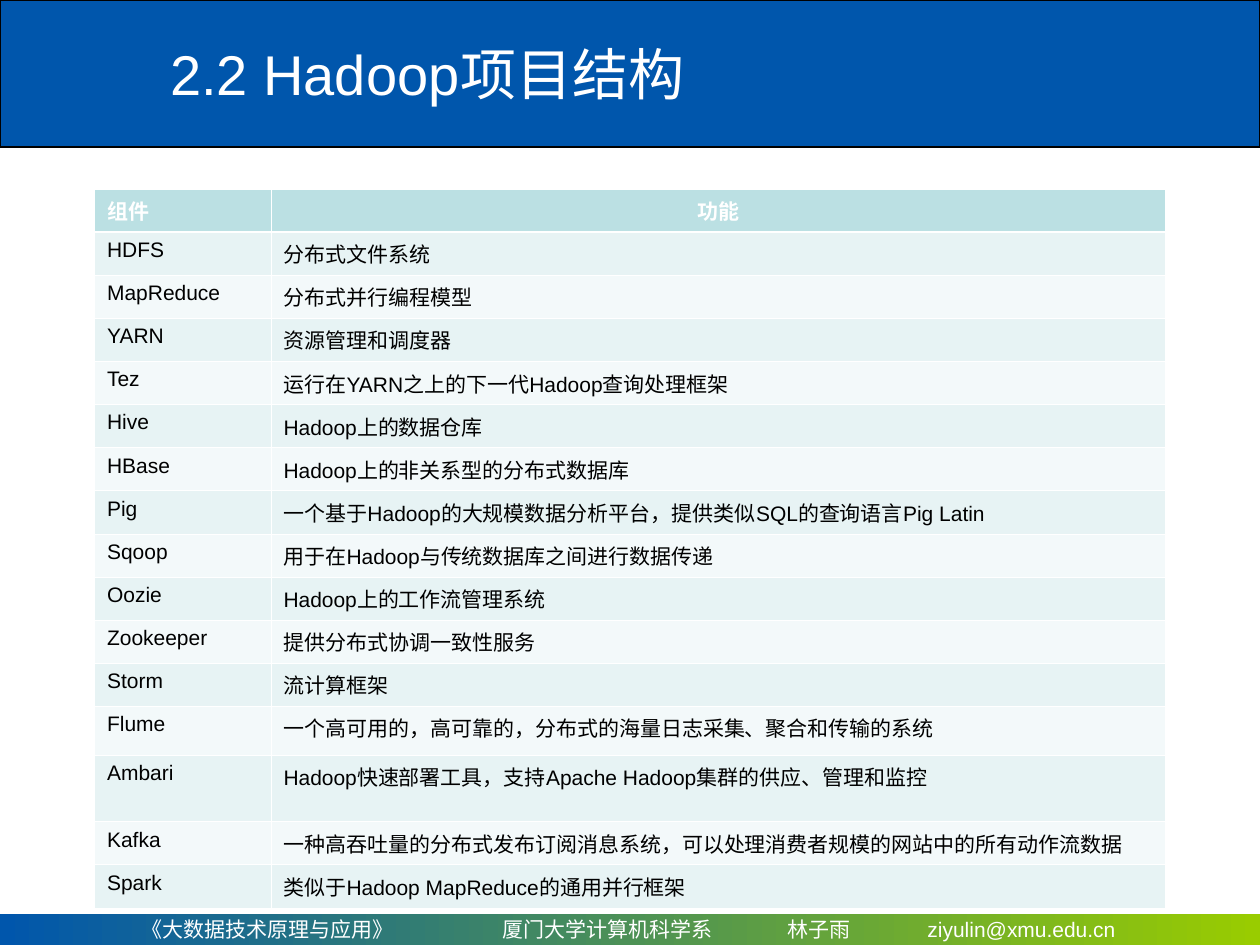
from dataclasses import dataclass

from lxml import etree
from pptx import Presentation
from pptx.dml.color import RGBColor as RGB
from pptx.enum.shapes import MSO_SHAPE as SHAPE
from pptx.enum.text import MSO_ANCHOR as ANCHOR, MSO_AUTO_SIZE as AUTO_SIZE, PP_ALIGN as ALIGN
from pptx.oxml.ns import qn
from pptx.util import Pt


@dataclass(frozen=True)
class Theme:
    font: str = "Arial"
    blue: RGB = RGB(0x00, 0x56, 0xAC)
    green: RGB = RGB(0x99, 0xCC, 0x00)
    white: RGB = RGB(0xFF, 0xFF, 0xFF)
    black: RGB = RGB(0x00, 0x00, 0x00)
    header_fill: RGB = RGB(0xBB, 0xE0, 0xE3)
    odd_fill: RGB = RGB(0xE7, 0xF3, 0xF4)
    even_fill: RGB = RGB(0xF3, 0xF9, 0xFA)
    title_size: int = 32
    body_size: int = 12


THEME = Theme()
ROWS = [
    ("组件", "功能"),
    ("HDFS", "分布式文件系统"),
    ("MapReduce", "分布式并行编程模型"),
    ("YARN", "资源管理和调度器"),
    ("Tez", "运行在YARN之上的下一代Hadoop查询处理框架"),
    ("Hive", "Hadoop上的数据仓库"),
    ("HBase", "Hadoop上的非关系型的分布式数据库"),
    ("Pig", "一个基于Hadoop的大规模数据分析平台，提供类似SQL的查询语言Pig Latin"),
    ("Sqoop", "用于在Hadoop与传统数据库之间进行数据传递"),
    ("Oozie", "Hadoop上的工作流管理系统"),
    ("Zookeeper", "提供分布式协调一致性服务"),
    ("Storm", "流计算框架"),
    ("Flume", "一个高可用的，高可靠的，分布式的海量日志采集、聚合和传输的系统"),
    ("Ambari", "Hadoop快速部署工具，支持Apache Hadoop集群的供应、管理和监控"),
    ("Kafka", "一种高吞吐量的分布式发布订阅消息系统，可以处理消费者规模的网站中的所有动作流数据"),
    ("Spark", "类似于Hadoop MapReduce的通用并行框架"),
]
ROW_HEIGHT = 21.6
TALL_ROWS = {"Flume": 28, "Ambari": 38}
FOOTER = ["《大数据技术原理与应用》", "厦门大学计算机科学系", "林子雨", "ziyulin@xmu.edu.cn"]
FOOTER_STOPS = [81, 287, 450, 530]


def style(paragraph, size, color, align=ALIGN.LEFT, bold=False):
    paragraph.alignment = align
    font = paragraph.font
    font.name, font.size, font.bold = THEME.font, Pt(size), bold
    font.color.rgb = color


def add_borders(cell, widths):
    """Draw white cell borders; widths are left, right, top, bottom."""
    properties = cell._tc.get_or_add_tcPr()
    for index, (side, width) in enumerate(zip("LRTB", widths)):
        line = etree.Element(qn(f"a:ln{side}"), w=str(Pt(width)))
        fill = etree.SubElement(line, qn("a:solidFill"))
        etree.SubElement(fill, qn("a:srgbClr"), val=str(THEME.white))
        properties.insert(index, line)


deck = Presentation()
deck.slide_width, deck.slide_height = Pt(720), Pt(540)
slide = deck.slides.add_slide(deck.slide_layouts[5])
shapes = slide.shapes

# Title band
band = shapes.add_shape(SHAPE.RECTANGLE, 0, 0, Pt(720), Pt(84))
band.shadow.inherit = False
band.fill.solid()
band.fill.fore_color.rgb = THEME.blue
band.line.color.rgb = THEME.black
band.line.width = Pt(0.75)

# Footer bar, with its entries on tab stops
footer = shapes.add_shape(SHAPE.RECTANGLE, 0, Pt(522), Pt(720), Pt(18))
footer.shadow.inherit = False
footer.line.fill.background()
footer.fill.gradient()
footer.fill.gradient_angle = 0
for stop, color, position in zip(footer.fill.gradient_stops, (THEME.blue, THEME.green), (0, 1)):
    stop.color.rgb, stop.position = color, position

footer_frame = footer.text_frame
footer_frame.word_wrap = True
footer_frame.vertical_anchor = ANCHOR.MIDDLE
footer_frame.margin_left = Pt(FOOTER_STOPS[0])
credits = footer_frame.paragraphs[0]
credits.text = "\t".join(FOOTER)
tab_list = etree.SubElement(credits._p.get_or_add_pPr(), qn("a:tabLst"))
for stop in FOOTER_STOPS[1:]:
    etree.SubElement(tab_list, qn("a:tab"), pos=str(Pt(stop - FOOTER_STOPS[0])), algn="l")
style(credits, THEME.body_size, THEME.white)

# Title, brought in front of the band
title = shapes.title
title.left, title.top, title.width, title.height = Pt(90), Pt(6), Pt(630), Pt(72)
title.text_frame.text = "2.2 Hadoop项目结构"
title.text_frame.auto_size = AUTO_SIZE.NONE
title.text_frame.vertical_anchor = ANCHOR.MIDDLE
style(title.text_frame.paragraphs[0], THEME.title_size, THEME.white)
shapes._spTree.append(title._element)

# Component table
components = shapes.add_table(len(ROWS), 2, Pt(54), Pt(108), Pt(612), Pt(ROW_HEIGHT * len(ROWS))).table
for column, width in zip(components.columns, (100.8, 511.2)):
    column.width = Pt(width)

for r, entry in enumerate(ROWS):
    components.rows[r].height = Pt(TALL_ROWS.get(entry[0], ROW_HEIGHT))
    is_header = r == 0
    band_fill = THEME.odd_fill if r % 2 else THEME.even_fill
    for c, wording in enumerate(entry):
        cell = components.cell(r, c)
        cell.text = wording
        cell.fill.solid()
        cell.fill.fore_color.rgb = THEME.header_fill if is_header else band_fill
        add_borders(cell, (0.45, 0.45, 1.47 if r == 1 else 0.45, 1.47 if is_header else 0.45))
        style(cell.text_frame.paragraphs[0], THEME.body_size,
              THEME.white if is_header else THEME.black,
              ALIGN.CENTER if is_header and c == 1 else ALIGN.LEFT, is_header)

deck.save("out.pptx")
